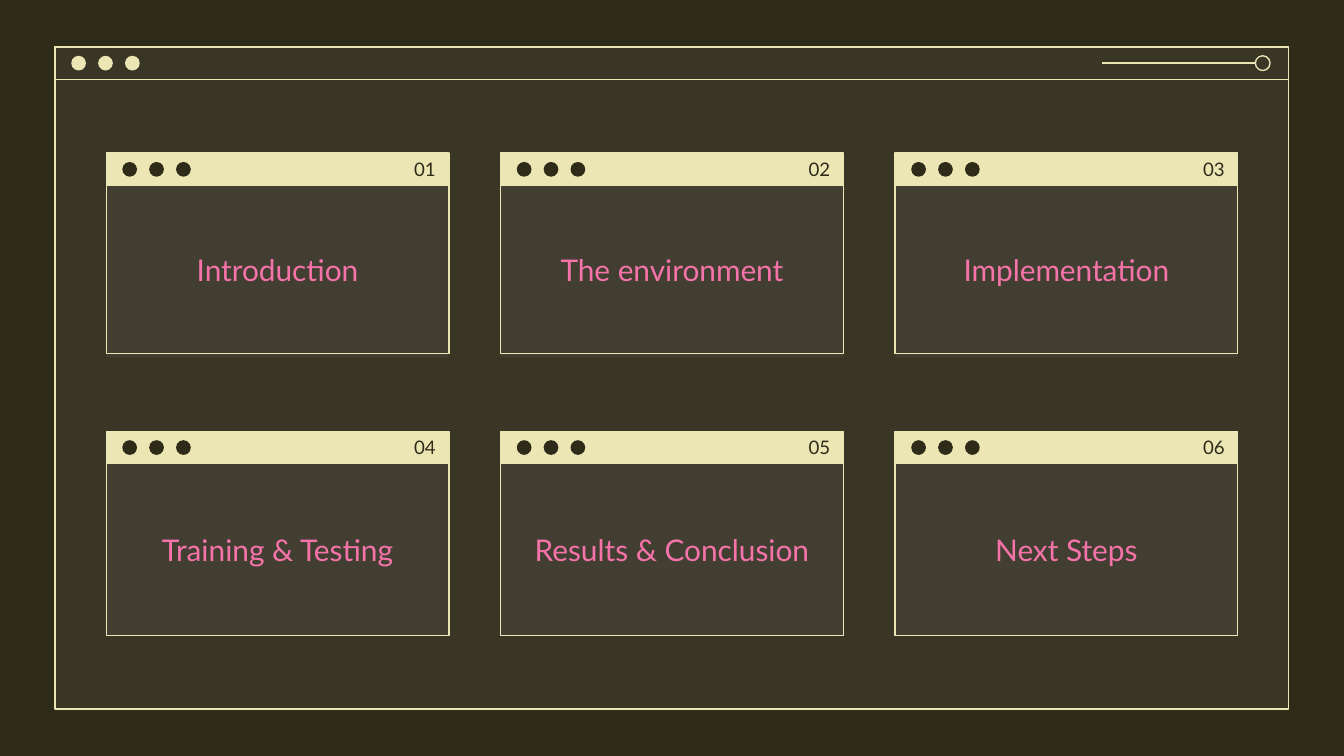
from lxml import etree
from pptx import Presentation, util as u
from pptx.dml import color
from pptx.enum import shapes, text
from pptx.oxml import ns

CREAM, DARK, PINK, GREY = "ECE5B4", "2F2B19", "F673A9", "7C7C7C"
RECT, OVAL = shapes.MSO_SHAPE.RECTANGLE, shapes.MSO_SHAPE.OVAL
W = 10
H = W * 9 / 16
BAR, DOT, DOT_STEP = 0.24, 0.11, 0.2


def rgb(code):
    return color.RGBColor.from_string(code)


def box(x, y, w, h, kind=RECT, fill=None, alpha=None, line=None, label=None, sp=None):
    """Add a shape, or format the given one, and write its label."""
    at = [u.Inches(v) for v in (x, y, w, h)]
    if sp is None:
        sp = s.shapes.add_shape(kind, *at)
        sp.shadow.inherit = False
    sp.left, sp.top, sp.width, sp.height = at
    if fill:
        sp.fill.solid()
        sp.fill.fore_color.rgb = rgb(fill)
        if alpha:
            clr = sp.element.spPr.find(".//" + ns.qn("a:srgbClr"))
            etree.SubElement(clr, ns.qn("a:alpha"), val=str(alpha * 1000))
    else:
        sp.fill.background()
    if line:
        sp.line.color.rgb = rgb(line)
        sp.line.width = u.Pt(0.75)
    else:
        sp.line.fill.background()
    if label:
        words, size, ink, align = label
        tf = sp.text_frame
        frame = dict(word_wrap=True, auto_size=text.MSO_AUTO_SIZE.NONE,
                     vertical_anchor=text.MSO_ANCHOR.MIDDLE)
        for side in ("left", "top", "right", "bottom"):
            frame["margin_" + side] = u.Inches(0.1)
        for name, value in frame.items():
            setattr(tf, name, value)
        p = tf.paragraphs[0]
        p.alignment = align
        r = p.add_run()
        r.text = words
        for name, value in dict(name="Lato", size=u.Pt(size), bold=False).items():
            setattr(r.font, name, value)
        r.font.color.rgb = rgb(ink)
    return sp


prs = Presentation()
prs.slide_width, prs.slide_height = u.Inches(W), u.Inches(H)
s = prs.slides.add_slide(prs.slide_layouts[5])
s.background.fill.solid()
s.background.fill.fore_color.rgb = rgb(DARK)

# Large window: tinted pane, outline, title bar, dots
left, top = 0.41, 0.35
width, height = W - 2 * left, H - 2 * top
box(left, top, width, height, fill=GREY, alpha=14)
box(left, top, width, height, line=CREAM)
box(left, top, width, BAR, line=CREAM)
dot_y = top + (BAR - DOT) / 2
for i in range(3):
    box(left + 0.12 + i * DOT_STEP, dot_y, DOT, DOT, OVAL, fill=CREAM)

# Slider at the right of the title bar
knob_x, mid = 9.34, top + BAR / 2
box(knob_x, dot_y, DOT, DOT, OVAL, line=CREAM)
track = s.shapes.add_connector(shapes.MSO_CONNECTOR.STRAIGHT, u.Inches(8.2), u.Inches(mid),
                               u.Inches(knob_x), u.Inches(mid))
track.line.color.rgb = rgb(CREAM)
track.line.width = u.Pt(0.75)
etree.SubElement(track.element.spPr, ns.qn("a:effectLst"))

# Six small windows in a grid of three columns and two rows
topics = ["Introduction", "The environment", "Implementation",
          "Training & Testing", "Results & Conclusion", "Next Steps"]
margin, card_w, card_h = 0.79, 2.55, 1.52
col_step = (W - 2 * margin - card_w) / 2
rows = [(1.14, 1.25), (3.21, 1.28)]  # top of the card, height of its body
num_w = 1.39

for n, topic in enumerate(topics):
    x = margin + n % 3 * col_step
    y, body_h = rows[n // 3]
    box(x, y, card_w, card_h, fill=GREY, alpha=14)
    box(x, y, card_w, BAR, fill=CREAM, line=CREAM)
    for i in range(3):
        box(x + 0.12 + i * DOT_STEP, y + (BAR - DOT) / 2, DOT, DOT, OVAL, fill=DARK)
    # The first topic fills the title placeholder, raised above its pane
    title = None
    if n == 0:
        title = s.shapes.title
        s.shapes.element.append(title.element)
    box(x, y + BAR, card_w, body_h, line=CREAM, sp=title,
        label=(topic, 16, PINK, text.PP_ALIGN.CENTER))
    box(x + card_w - num_w, y, num_w, BAR,
        label=(f"{n + 1:02d}", 10, DARK, text.PP_ALIGN.RIGHT))

prs.save("out.pptx")
